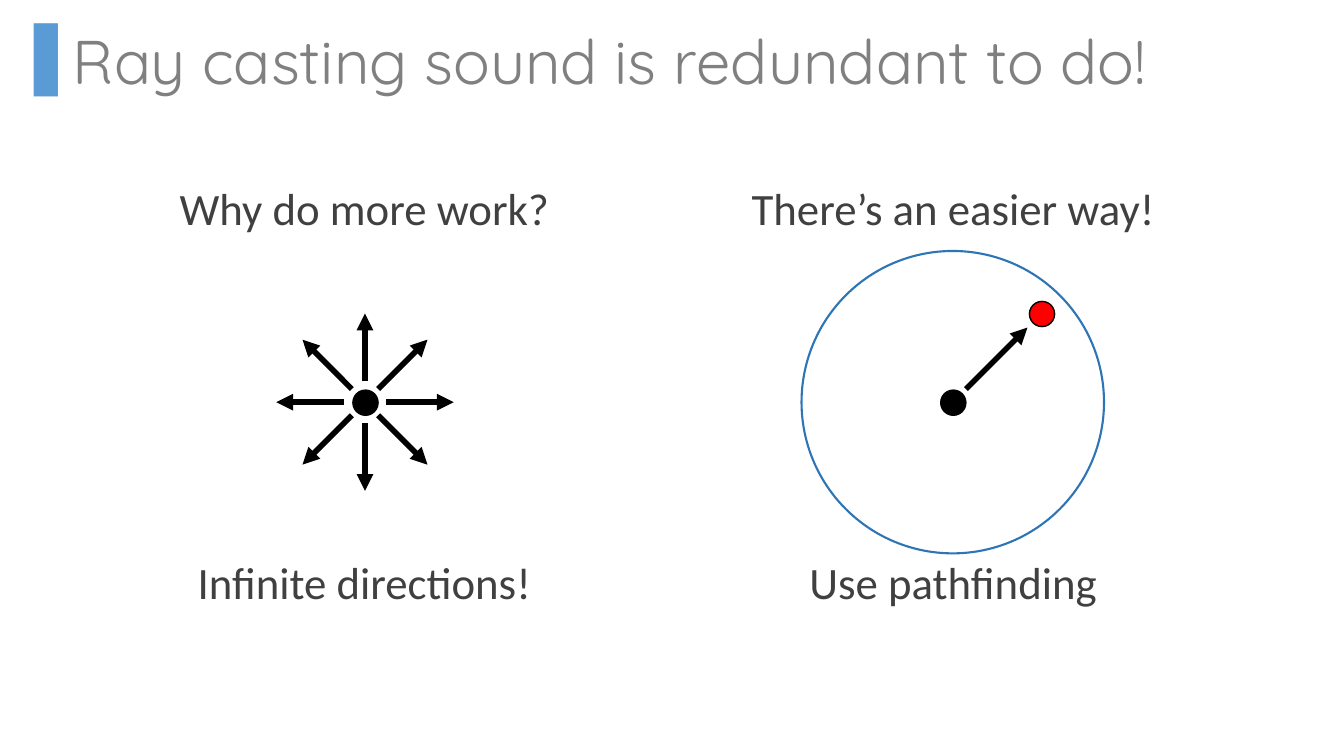
from dataclasses import dataclass
from itertools import product

from lxml import etree
from pptx import Presentation
from pptx import util as u
from pptx.dml.color import RGBColor
from pptx.enum import shapes, text
from pptx.oxml.ns import qn

EMU_PER_PX = 9144  # 100 px to the inch


@dataclass(frozen=True)
class Theme:
    title_font: str = "Quicksand"
    body_font: str = "Calibri"
    title_size: int = 44
    body_size: int = 32
    title_color: str = "808080"
    body_color: str = "404040"
    accent: str = "5B9BD5"
    range_line: str = "2E75B6"
    ink: str = "000000"
    target: str = "FF0000"


@dataclass(frozen=True)
class Box:
    left: int
    top: int
    width: int
    height: int


@dataclass(frozen=True)
class Column:
    placeholder: int
    box: Box
    captions: tuple[str, str]


@dataclass(frozen=True)
class Disc:
    x: int
    y: int
    diameter: int
    fill: str | None
    line: str
    line_width: float = 1


@dataclass(frozen=True)
class Ray:
    """An arrow whose ends are offsets from a centre, along dx and dy."""
    center: tuple[int, int]
    dx: int
    dy: int
    inner: int
    outer: int


THEME = Theme()
CASTER = (362, 399)
LISTENER = (945, 399)
DOT = 25
TARGET_OFFSET = 88
CAPTION_GAP = 233  # points between the captions, leaving room for the diagram

TITLE = "Ray casting sound is redundant to do!"
TITLE_BOX = Box(0, 18, 1333, 148)
COLUMNS = (
    Column(1, Box(166, 180, 391, 436), ("Why do more work?", "Infinite directions!")),
    Column(2, Box(729, 180, 433, 436), ("There’s an easier way!", "Use pathfinding")),
)
DISCS = (
    Disc(*CASTER, DOT, THEME.ink, THEME.ink),
    Disc(*LISTENER, DOT, THEME.ink, THEME.ink),
    Disc(*LISTENER, 300, None, THEME.range_line, 1.5),
    Disc(LISTENER[0] + TARGET_OFFSET, LISTENER[1] - TARGET_OFFSET, DOT, THEME.target, THEME.ink),
)
# Eight compass directions, then the single path to the target
RAYS = [
    Ray(CASTER, dx, dy, *((13, 62) if dx and dy else (21, 88)))
    for dx, dy in product((-1, 0, 1), repeat=2) if dx or dy
] + [Ray(LISTENER, 1, -1, 13, 74)]


def px(value: int) -> u.Emu:
    return u.Emu(value * EMU_PER_PX)


def color(code: str) -> RGBColor:
    return RGBColor.from_string(code)


def place(shape, box: Box) -> None:
    shape.left, shape.top = px(box.left), px(box.top)
    shape.width, shape.height = px(box.width), px(box.height)


def prepare_frame(shape):
    frame = shape.text_frame
    frame.word_wrap = True
    frame.auto_size = text.MSO_AUTO_SIZE.NONE
    frame.vertical_anchor = text.MSO_ANCHOR.TOP
    return frame


def style(para, font: str, size: int, code: str) -> None:
    for span in para.runs:
        span.font.name = font
        span.font.size = u.Pt(size)
        span.font.color.rgb = color(code)


def set_indent(para, margin: int, bullet: str | None = None) -> None:
    props = para._p.get_or_add_pPr()
    props.set("marL", str(px(margin)))
    props.set("indent", str(px(-margin)))
    if bullet is None:
        etree.SubElement(props, qn("a:buNone"))
        return
    tint = etree.SubElement(props, qn("a:buClr"))
    etree.SubElement(tint, qn("a:srgbClr"), val=THEME.accent)
    etree.SubElement(props, qn("a:buFont"), typeface=THEME.body_font)
    etree.SubElement(props, qn("a:buChar"), char=bullet)


def add_title(page) -> None:
    title = page.shapes.title
    place(title, TITLE_BOX)
    frame = prepare_frame(title)
    frame.text = TITLE
    para = frame.paragraphs[0]
    para.alignment = text.PP_ALIGN.LEFT
    set_indent(para, 62, "▐")
    style(para, THEME.title_font, THEME.title_size, THEME.title_color)


def add_column(page, column: Column) -> None:
    body = page.placeholders[column.placeholder]
    place(body, column.box)
    frame = prepare_frame(body)
    frame.text = "\n".join(column.captions)
    for para, gap in zip(frame.paragraphs, (0, CAPTION_GAP)):
        para.alignment = text.PP_ALIGN.CENTER
        para.line_spacing = 0.9
        para.space_before = u.Pt(gap)
        set_indent(para, 0)
        style(para, THEME.body_font, THEME.body_size, THEME.body_color)


def add_disc(page, disc: Disc) -> None:
    radius = disc.diameter // 2
    oval = page.shapes.add_shape(
        shapes.MSO_SHAPE.OVAL, px(disc.x - radius), px(disc.y - radius),
        px(disc.diameter), px(disc.diameter))
    oval.shadow.inherit = False
    if disc.fill is None:
        oval.fill.background()
    else:
        oval.fill.solid()
        oval.fill.fore_color.rgb = color(disc.fill)
    oval.line.color.rgb = color(disc.line)
    oval.line.width = u.Pt(disc.line_width)


def add_ray(page, ray: Ray) -> None:
    x, y = ray.center
    ends = [px(value) for reach in (ray.inner, ray.outer)
            for value in (x + ray.dx * reach, y + ray.dy * reach)]
    arrow = page.shapes.add_connector(shapes.MSO_CONNECTOR.STRAIGHT, *ends)
    arrow.line.color.rgb = color(THEME.ink)
    arrow.line.width = u.Pt(4)
    etree.SubElement(arrow.line._get_or_add_ln(), qn("a:tailEnd"), type="triangle")
    etree.SubElement(arrow._element.spPr, qn("a:effectLst"))


def main() -> None:
    deck = Presentation()
    deck.slide_width, deck.slide_height = px(1333), px(750)
    page = deck.slides.add_slide(deck.slide_layouts.get_by_name("Two Content"))

    # Heading and captions
    add_title(page)
    for column in COLUMNS:
        add_column(page, column)

    # Diagrams
    for disc in DISCS:
        add_disc(page, disc)
    for ray in RAYS:
        add_ray(page, ray)

    deck.save("out.pptx")


if __name__ == "__main__":
    main()
